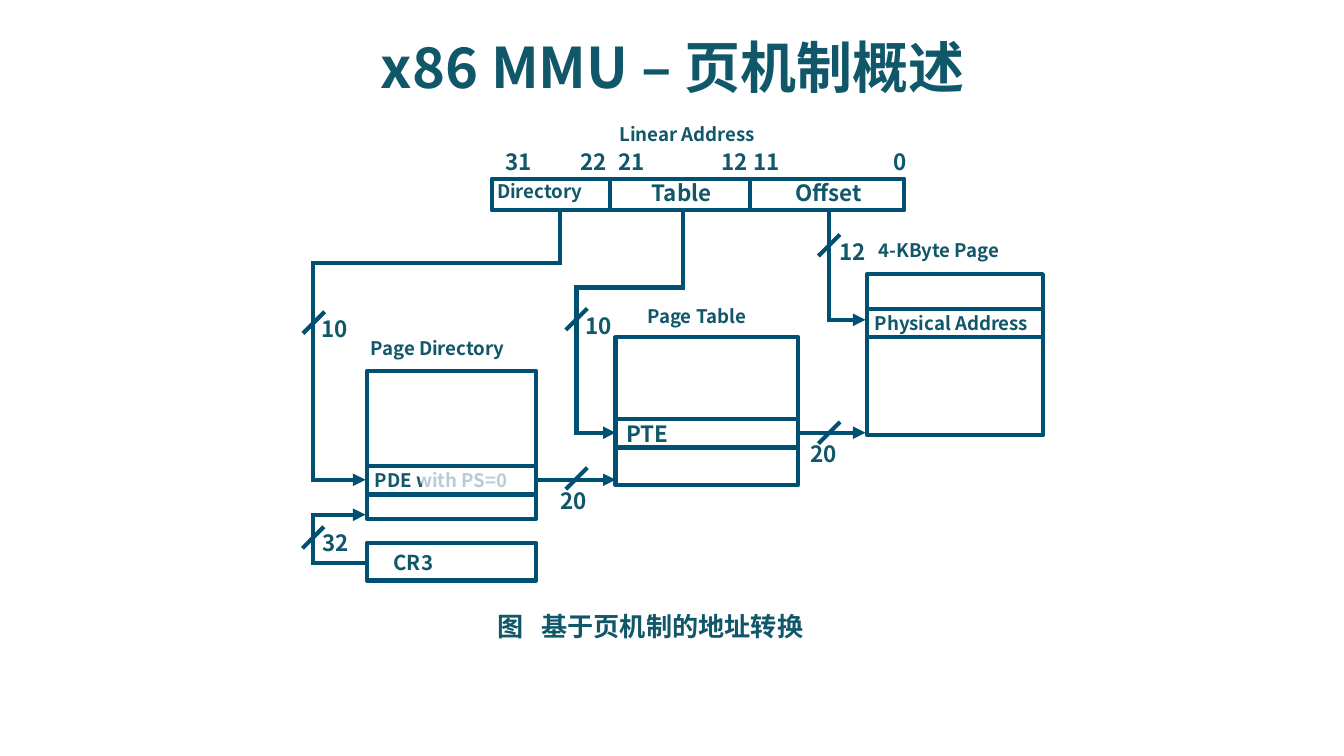
from itertools import pairwise

from lxml import etree
from pptx import Presentation, util as u
from pptx.enum import shapes, text
from pptx.dml.color import RGBColor
from pptx.oxml.ns import qn

# Every length below counts cells of a square grid, 100 columns wide
COLUMNS, ROWS = 100, 56.25
CELL = u.Inches(0.1)
FONT = "Noto Sans CJK SC"
COLORS = {"text": "11576A", "line": "005072", "veil": "FFFFFF"}
LINE_WIDTH = 2.25

# Boxes: left, top, width, height, inner row lines, inner column lines
BOXES = {
    "linear address": (36.6, 13.3, 30.7, 2.35, [], [45.4, 55.8]),
    "page directory": (27.3, 27.6, 12.6, 11, [34.7, 36.8], []),
    "CR3": (27.3, 40.4, 12.6, 2.8, [], []),
    "page table": (45.8, 25.1, 13.6, 11, [31.2, 33.3], []),
    "page": (64.5, 20.4, 13.1, 12, [23, 25.1], []),
}

# Routes run through their corner points and end in an arrowhead
ROUTES = [
    [(41.7, 15.65), (41.7, 19.6), (23.3, 19.6), (23.3, 35.7), (27.2, 35.7)],
    [(50.8, 15.65), (50.8, 21.4), (42.9, 21.4), (42.9, 32.2), (45.8, 32.2)],
    [(61.7, 15.65), (61.7, 23.8), (64.4, 23.8)],
    [(39.9, 35.7), (45.8, 35.7)],
    [(59.4, 32.2), (64.4, 32.2)],
    [(27.2, 41.9), (23.3, 41.9), (23.3, 38.3), (27.2, 38.3)],
]

# Slashes across a route mark its bit width: centre column and row
SLASHES = [(61.7, 18.25), (42.9, 23.75), (23.35, 24), (23.3, 40),
           (42.9, 35.6), (61.7, 32.2)]
SLASH_SIZE = 1.6

# Labels: text, left, top, width, height, points
LABELS = [
    ("Linear Address", 45.1, 8.8, 15.7, 2.8, 10),
    ("Directory", 36, 13, 11, 2.6, 10),
    ("Table", 47.5, 13, 7.1, 2.9, 12),
    ("Offset", 58.2, 13, 8.7, 2.9, 12),
    ("Page Directory", 26.6, 24.7, 15, 2.8, 10),
    ("Page Table", 47.2, 22.3, 11.8, 2.8, 10),
    ("4-KByte Page", 64.4, 17.4, 13.4, 2.8, 10),
    ("Physical Address", 64.1, 22.8, 17.1, 2.6, 10),
    ("PTE", 45.6, 30.9, 5.5, 2.9, 12),
    ("PDE with PS=0", 26.9, 34.5, 15.7, 2.8, 10),
    ("CR3", 28.3, 40.6, 6.7, 2.8, 11),
]
BIT_NUMBERS = [("31", 36.6, 5.5), ("22", 42.2, 5.5), ("21", 45, 5.5),
               ("12", 52.7, 5.5), ("11", 55.1, 5.5), ("0", 65.5, 4.2)]
BIT_WIDTHS = [("12", 61.5, 17.4), ("10", 42.6, 22.9), ("20", 40.7, 35.9),
              ("20", 59.3, 32.4), ("10", 22.9, 23.1), ("32", 23, 39)]
LABELS += [(bit, left, 10.7, width, 2.9, 12)
           for bit, left, width in BIT_NUMBERS]
LABELS += [(bits, left, top, 4.2, 2.9, 12) for bits, left, top in BIT_WIDTHS]

TITLE = ("x86 MMU – 页机制概述", 22.7, 2.3, 54.7, 5.8, 30)
CAPTION = ("图\t基于页机制的地址转换", 36, 45.1, 54.9, 3.2, 14)
CAPTION_TAB = 3.3
VEIL = (31.4, 34.9, 8.3, 1.7)


def cells(*counts):
    return [round(count * CELL) for count in counts]


def color(name):
    return RGBColor.from_string(COLORS[name])


def add_line(page, start, end, arrow=False, cap="flat"):
    line = page.shapes.add_connector(
        shapes.MSO_CONNECTOR.STRAIGHT, *cells(*start, *end))
    line.line.color.rgb = color("line")
    line.line.width = u.Pt(LINE_WIDTH)
    outline = line.line._get_or_add_ln()
    outline.set("cap", cap)
    if arrow:
        etree.SubElement(outline, qn("a:tailEnd"), type="triangle")
    etree.SubElement(line._element.spPr, qn("a:effectLst"))


def add_box(page, *place):
    box = page.shapes.add_shape(shapes.MSO_SHAPE.RECTANGLE, *cells(*place))
    box.shadow.inherit = False
    return box


def add_label(page, words, left, top, width, height, size,
              align=text.PP_ALIGN.LEFT, tab=None):
    box = page.shapes.add_textbox(*cells(left, top, width, height))
    box.text_frame.word_wrap = True
    box.text_frame.auto_size = text.MSO_AUTO_SIZE.SHAPE_TO_FIT_TEXT
    para = box.text_frame.paragraphs[0]
    para.text = words
    if tab:
        stops = etree.SubElement(para._p.get_or_add_pPr(), qn("a:tabLst"))
        etree.SubElement(stops, qn("a:tab"), pos=str(cells(tab)[0]), algn="l")
    para.alignment = align
    para.line_spacing = 0.95
    para.font.name = FONT
    para.font.size = u.Pt(size)
    para.font.bold = True
    para.font.color.rgb = color("text")
    # Chinese characters take their typeface from a:ea
    latin = para.font._element.find(qn("a:latin"))
    latin.addnext(latin.makeelement(qn("a:ea"), {"typeface": FONT}))


def main():
    deck = Presentation()
    deck.slide_width, deck.slide_height = cells(COLUMNS, ROWS)
    page = deck.slides.add_slide(deck.slide_layouts[6])

    add_label(page, *TITLE, align=text.PP_ALIGN.CENTER)

    # Registers and tables with their inner lines
    for left, top, width, height, rows, columns in BOXES.values():
        box = add_box(page, left, top, width, height)
        box.fill.background()
        box.line.color.rgb = color("line")
        box.line.width = u.Pt(LINE_WIDTH)
        for row in rows:
            add_line(page, (left, row), (left + width, row))
        for column in columns:
            add_line(page, (column, top), (column, top + height))

    # Routes with square caps to close their corners, then the slashes
    for route in ROUTES:
        for start, end in pairwise(route):
            last = end == route[-1]
            add_line(page, start, end, last, "flat" if last else "sq")
    half = SLASH_SIZE / 2
    for x, y in SLASHES:
        add_line(page, (x + half, y - half), (x - half, y + half))

    # Labels, then the veil that dims part of the directory entry
    for label in LABELS:
        add_label(page, *label)
    veil = add_box(page, *VEIL)
    veil.fill.solid()
    veil.fill.fore_color.rgb = color("veil")
    veil.line.fill.background()
    tint = veil._element.spPr.find(qn("a:solidFill"))[0]
    etree.SubElement(tint, qn("a:alpha"), val="70000")

    add_label(page, *CAPTION, tab=CAPTION_TAB)
    deck.save("out.pptx")


if __name__ == "__main__":
    main()
